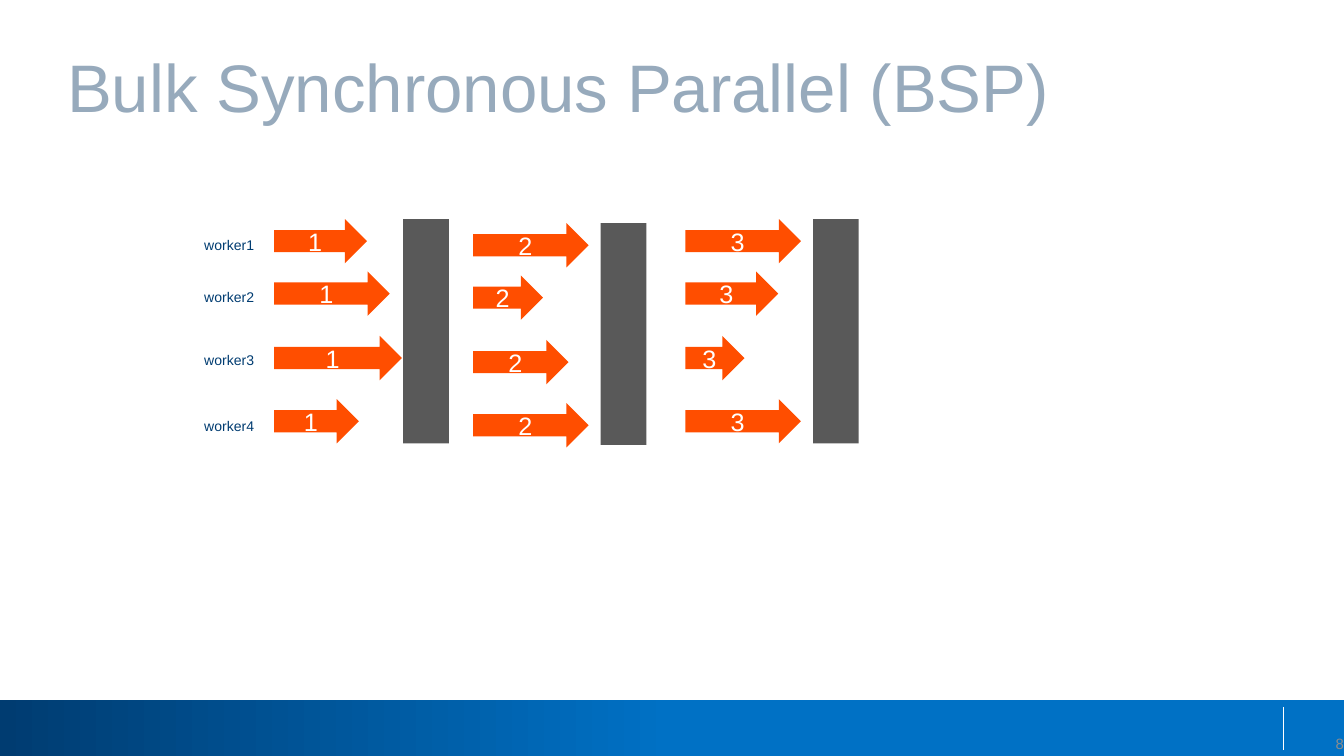
from pptx import Presentation
from pptx.dml.color import RGBColor
from pptx.enum.shapes import MSO_CONNECTOR, MSO_SHAPE
from pptx.enum.text import MSO_ANCHOR, PP_ALIGN
from pptx.oxml.ns import qn
from pptx.util import Inches, Pt
from lxml import etree

RECTANGLE, ARROW = MSO_SHAPE.RECTANGLE, MSO_SHAPE.RIGHT_ARROW
LEFT, CENTER, RIGHT = PP_ALIGN.LEFT, PP_ALIGN.CENTER, PP_ALIGN.RIGHT
TOP, MIDDLE = MSO_ANCHOR.TOP, MSO_ANCHOR.MIDDLE
NAVY, BLUE, ORANGE, GRAY, WHITE = "003C71", "0071C5", "FF4E00", "595959", "FFFFFF"

prs = Presentation()
prs.slide_width, prs.slide_height = Inches(10), Inches(5.625)
slide = prs.slides.add_slide(prs.slide_layouts[6])


def add_block(kind, left, top, width, height, color):
    block = slide.shapes.add_shape(
        kind, Inches(left), Inches(top), Inches(width), Inches(height))
    block.shadow.inherit = False
    block.line.fill.background()
    block.fill.solid()
    block.fill.fore_color.rgb = RGBColor.from_string(color)
    return block


def write(shape, text, size, color, align=LEFT, anchor=TOP, wrap=True, inset=None):
    frame = shape.text_frame
    frame.word_wrap = wrap
    frame.vertical_anchor = anchor
    if inset is not None:
        frame.margin_left = frame.margin_right = Inches(inset)
        frame.margin_top = frame.margin_bottom = Inches(inset)
    paragraph = frame.paragraphs[0]
    paragraph.text = text
    paragraph.alignment = align
    paragraph.font.name = "Arial"
    paragraph.font.size = Pt(size)
    paragraph.font.color.rgb = RGBColor.from_string(color)


# Footer band with gradient and divider
footer = add_block(RECTANGLE, 0, 5.21, 10, 0.42, BLUE)
footer.fill.gradient()
footer.fill.gradient_angle = 0
for stop, position, color in zip(footer.fill.gradient_stops, (0, 0.5), (NAVY, BLUE)):
    stop.position = position
    stop.color.rgb = RGBColor.from_string(color)

divider = slide.shapes.add_connector(
    MSO_CONNECTOR.STRAIGHT, Inches(9.55), Inches(5.26), Inches(9.55), Inches(5.58))
divider.line.color.rgb = RGBColor.from_string(WHITE)
divider.line.width = Pt(0.75)
etree.SubElement(divider.element.spPr, qn("a:effectLst"))

# Title and page number
title = slide.shapes.add_textbox(Inches(0.5), Inches(0.34), Inches(9), Inches(0.95))
write(title, "Bulk Synchronous Parallel (BSP)", 36, "97AABC", inset=0)
page_number = slide.shapes.add_textbox(
    Inches(9.5), Inches(5.44), Inches(0.5), Inches(0.18))
write(page_number, "8", 8, "8C8C8C", RIGHT, MIDDLE, inset=0)

# Supersteps: one arrow per worker, then a synchronization barrier
worker_offsets = (0, 0.39, 0.87, 1.34)
supersteps = [  # arrow left, top, barrier left, barrier height, arrow widths
    (2.04, 1.63, 3.00, 1.67, (0.69, 0.86, 0.95, 0.63)),
    (3.52, 1.66, 4.47, 1.65, (0.86, 0.52, 0.71, 0.86)),
    (5.10, 1.63, 6.05, 1.67, (0.86, 0.69, 0.44, 0.86)),
]
for step, (left, top, barrier_left, barrier_height, widths) in enumerate(supersteps, 1):
    add_block(RECTANGLE, barrier_left, top, 0.34, barrier_height, GRAY)
    for offset, width in zip(worker_offsets, widths):
        task = add_block(ARROW, left, top + offset, width, 0.33, ORANGE)
        write(task, str(step), 13.5, WHITE, CENTER, MIDDLE)

# Worker labels
for number, top in enumerate((1.71, 2.1, 2.57, 3.06), 1):
    worker = slide.shapes.add_textbox(
        Inches(1.42), Inches(top), Inches(0.59), Inches(0.23))
    write(worker, f"worker{number}", 7.5, NAVY, wrap=False)

prs.save("out.pptx")
